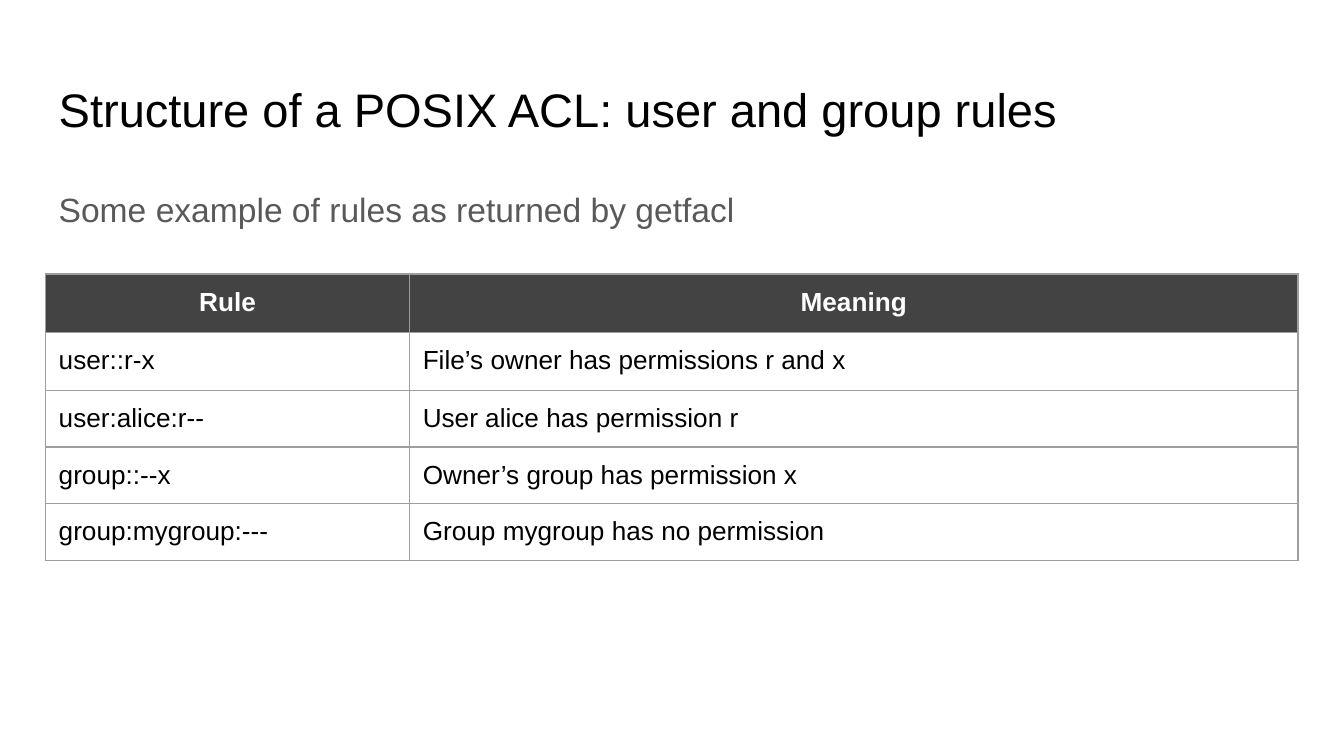
from lxml import etree
from pptx import Presentation
from pptx import util as u
from pptx.dml.color import RGBColor
from pptx.enum import text
from pptx.oxml.ns import qn

TITLE = "Structure of a POSIX ACL: user and group rules"
INTRO = "Some example of rules as returned by getfacl"
RULES = [
    ("Rule", "Meaning"),
    ("user::r-x", "File’s owner has permissions r and x"),
    ("user:alice:r--", "User alice has permission r"),
    ("group::--x", "Owner’s group has permission x"),
    ("group:mygroup:---", "Group mygroup has no permission"),
]
COLORS = {"black": "000000", "grey": "595959", "white": "FFFFFF",
          "header": "434343", "border": "9E9E9E"}
FONT = "Arial"
LEFT, WIDTH, INSET = u.Cm(0.86), u.Cm(23.67), u.Cm(0.25)
COLUMN_WIDTHS = [u.Cm(6.88), u.Cm(16.79)]
ROW_HEIGHTS = [u.Cm(height) for height in (1.1, 1.1, 1.07, 1.07, 1.07)]


def write(frame, wording, size, color, bold=False, align=text.PP_ALIGN.LEFT):
    frame.text = wording
    paragraph = frame.paragraphs[0]
    paragraph.alignment = align
    font = paragraph.runs[0].font
    font.name, font.size, font.bold = FONT, u.Pt(size), bold
    font.color.rgb = RGBColor.from_string(COLORS[color])
    return paragraph


def set_insets(holder):
    """Give a text frame or table cell the same margin on every side."""
    holder.margin_left = holder.margin_right = INSET
    holder.margin_top = holder.margin_bottom = INSET


def add_borders(cell):
    properties = cell._tc.get_or_add_tcPr()
    for position, side in enumerate(("a:lnL", "a:lnR", "a:lnT", "a:lnB")):
        line = etree.Element(qn(side), w=str(u.Pt(0.75)))
        fill = etree.SubElement(line, qn("a:solidFill"))
        etree.SubElement(fill, qn("a:srgbClr"), val=COLORS["border"])
        properties.insert(position, line)


def add_rules_table(slide):
    table = slide.shapes.add_table(
        len(RULES), len(COLUMN_WIDTHS), LEFT, u.Cm(5.18), WIDTH, sum(ROW_HEIGHTS)).table
    table.horz_banding = False
    for column, width in zip(table.columns, COLUMN_WIDTHS):
        column.width = width
    for index, (row, height, rule) in enumerate(zip(table.rows, ROW_HEIGHTS, RULES)):
        row.height = height
        for cell, wording in zip(row.cells, rule):
            set_insets(cell)
            if index == 0:
                write(cell.text_frame, wording, 14, "white", True, text.PP_ALIGN.CENTER)
                cell.fill.solid()
                cell.fill.fore_color.rgb = RGBColor.from_string(COLORS["header"])
            else:
                write(cell.text_frame, wording, 14, "black")
                cell.fill.background()
            add_borders(cell)


def main():
    deck = Presentation()
    deck.slide_width, deck.slide_height = u.Cm(25.4), u.Cm(14.29)
    slide = deck.slides.add_slide(deck.slide_layouts[5])

    title = slide.shapes.title
    title.left, title.top, title.width, title.height = LEFT, u.Cm(1.24), WIDTH, u.Cm(1.6)
    write(title.text_frame, TITLE, 25.2, "black")
    title.text_frame.vertical_anchor = text.MSO_ANCHOR.BOTTOM

    intro = slide.shapes.add_textbox(LEFT, u.Cm(3.2), WIDTH, u.Cm(1.98))
    paragraph = write(intro.text_frame, INTRO, 18, "grey")
    paragraph.line_spacing, paragraph.space_after = 1.15, u.Pt(12)

    for box in (title, intro):
        set_insets(box.text_frame)
        box.text_frame.word_wrap = True
        box.text_frame.auto_size = text.MSO_AUTO_SIZE.NONE

    add_rules_table(slide)
    deck.save("out.pptx")


if __name__ == "__main__":
    main()
